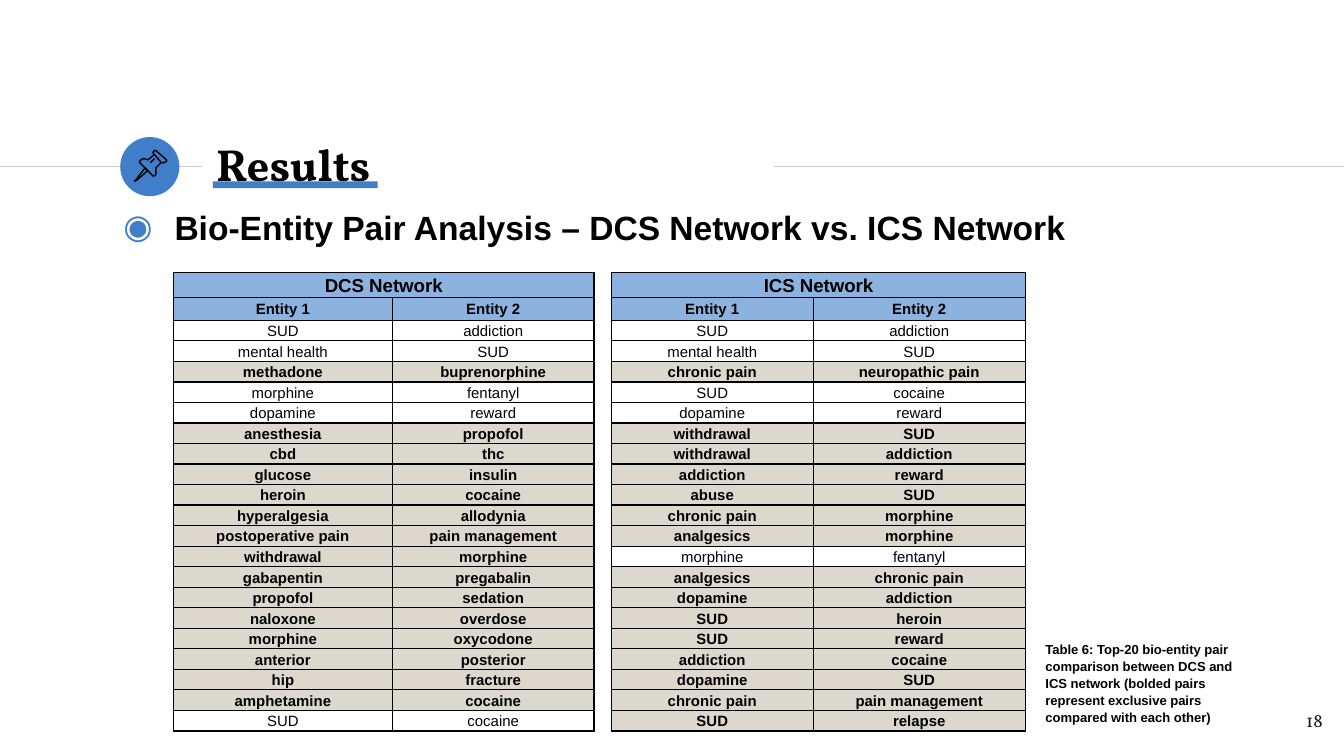
"""Build the results slide comparing entity pairs of the DCS and ICS networks."""
from dataclasses import dataclass

from lxml import etree
from pptx import Presentation
from pptx.dml.color import RGBColor
from pptx.enum.shapes import MSO_CONNECTOR, MSO_SHAPE
from pptx.enum.text import MSO_ANCHOR, PP_ALIGN
from pptx.oxml.ns import qn
from pptx.util import Inches, Pt

STRAIGHT = MSO_CONNECTOR.STRAIGHT
OVAL, RECTANGLE = MSO_SHAPE.OVAL, MSO_SHAPE.RECTANGLE
TOP, MIDDLE = MSO_ANCHOR.TOP, MSO_ANCHOR.MIDDLE
LEFT, CENTER, RIGHT = PP_ALIGN.LEFT, PP_ALIGN.CENTER, PP_ALIGN.RIGHT
BLACK = RGBColor(0x00, 0x00, 0x00)
INK = RGBColor(0x1D, 0x1D, 0x1B)
BLUE = RGBColor(0x40, 0x7E, 0xC9)
HEADER_BLUE = RGBColor(0x8C, 0xB2, 0xDF)
SAND = RGBColor(0xDD, 0xD8, 0xCD)
GREY = RGBColor(0xCC, 0xCC, 0xCC)
GRID_COLUMNS, GRID_ROWS = 100, 56.25
GRID_STEP = Inches(0.1)
PIN_STEP = Inches(0.01)
THIN = Pt(0.75)
RULE_ROW = 12.4
TABLE_TOP, HEADER_ROWS, HEADER_HEIGHT, PAIR_HEIGHT = 20.3, 2, 1.7, 1.53


@dataclass(frozen=True)
class Area:
    """A block of the grid."""
    column: float
    row: float
    columns: float
    rows: float

    def lengths(self) -> list[int]:
        """Return left, top, width and height."""
        return [grid(n) for n in (self.column, self.row, self.columns, self.rows)]


@dataclass(frozen=True)
class TextStyle:
    """The look of one run of text."""
    size: float
    name: str = "Arial"
    bold: bool = True
    color: RGBColor = BLACK


@dataclass(frozen=True)
class Label:
    """A text box with one paragraph."""
    area: Area
    text: str
    style: TextStyle
    alignment: PP_ALIGN = LEFT
    anchor: MSO_ANCHOR = TOP
    inset: float = 1
    spacing: float = 1.0
    bullet: str = ""


@dataclass(frozen=True)
class Network:
    """A table of entity pairs."""
    name: str
    column: float
    widths: tuple[float, float]
    pairs: tuple[tuple[str, str], ...]


@dataclass(frozen=True)
class Stroke:
    """One outline of the pin, in hundredths of an inch."""
    points: tuple[tuple[float, float], ...]
    closed: bool


DCS = Network("DCS Network", 12.9, (16.3, 15), (
    ("SUD", "addiction"), ("mental health", "SUD"), ("methadone", "buprenorphine"),
    ("morphine", "fentanyl"), ("dopamine", "reward"), ("anesthesia", "propofol"),
    ("cbd", "thc"), ("glucose", "insulin"), ("heroin", "cocaine"),
    ("hyperalgesia", "allodynia"), ("postoperative pain", "pain management"),
    ("withdrawal", "morphine"), ("gabapentin", "pregabalin"), ("propofol", "sedation"),
    ("naloxone", "overdose"), ("morphine", "oxycodone"), ("anterior", "posterior"),
    ("hip", "fracture"), ("amphetamine", "cocaine"), ("SUD", "cocaine")))
ICS = Network("ICS Network", 45.5, (15, 15.8), (
    ("SUD", "addiction"), ("mental health", "SUD"), ("chronic pain", "neuropathic pain"),
    ("SUD", "cocaine"), ("dopamine", "reward"), ("withdrawal", "SUD"),
    ("withdrawal", "addiction"), ("addiction", "reward"), ("abuse", "SUD"),
    ("chronic pain", "morphine"), ("analgesics", "morphine"), ("morphine", "fentanyl"),
    ("analgesics", "chronic pain"), ("dopamine", "addiction"), ("SUD", "heroin"),
    ("SUD", "reward"), ("addiction", "cocaine"), ("dopamine", "SUD"),
    ("chronic pain", "pain management"), ("SUD", "relapse")))
PIN = (
    Stroke(((108, 125), (101, 134), (100, 135), (102, 134), (110, 127)), True),
    Stroke(((115, 115), (120, 121), (122, 121), (123.5, 120.5), (124, 119),
            (116, 112), (115, 112), (114, 113), (114, 114)), True),
    Stroke(((115, 115), (110, 119), (107, 118.5), (105, 119), (104, 120), (104, 121),
            (114, 131), (115, 131), (116, 130), (116.5, 128), (116, 125), (120, 121)), False),
    Stroke(((112, 121), (115, 118)), False))
PAGE_NUMBER = Label(Area(93.4, 51.9, 6, 4.3), "18",
                    TextStyle(10, "Vollkorn", False, INK), RIGHT)
TITLE = Label(Area(15.1, 9.8, 42.4, 4.8), "Results", TextStyle(24, "Vollkorn"), anchor=MIDDLE)
TOPIC = Label(Area(7, 14.4, 84.8, 5.8), "Bio-Entity Pair Analysis – DCS Network vs. ICS Network",
              TextStyle(18), bullet="◉")
CAPTION = Label(Area(76.8, 47.1, 17.1, 7.4), "Table 6: Top-20 bio-entity pair comparison between "
                "DCS and ICS network (bolded pairs represent exclusive pairs compared with "
                "each other)", TextStyle(7), inset=0.5, spacing=1.1)


def grid(count: float) -> int:
    """Turn grid steps into a length."""
    return round(count * GRID_STEP)


def assign(target, values: dict) -> None:
    """Set attributes from format values."""
    for name, value in values.items():
        setattr(target, name, value)


def write(frame, text: str, style: TextStyle, layout: dict):
    """Write one styled paragraph and return it."""
    para = frame.paragraphs[0]
    assign(para, layout)
    span = para.add_run()
    span.text = text
    assign(span.font, {"name": style.name, "size": Pt(style.size), "bold": style.bold})
    span.font.color.rgb = style.color
    return para


def add_bullet(para, symbol: str) -> None:
    """Give a paragraph a blue hanging bullet."""
    para.space_before = Pt(6)
    properties = para._p.get_or_add_pPr()
    for name, length in {"marL": Inches(0.5), "indent": -Inches(0.38)}.items():
        properties.set(name, str(length))
    color = etree.SubElement(properties, qn("a:buClr"))
    etree.SubElement(color, qn("a:srgbClr"), val=str(BLUE))
    etree.SubElement(properties, qn("a:buFont"), typeface="Arial")
    etree.SubElement(properties, qn("a:buChar"), char=symbol)


def add_label(page, label: Label) -> None:
    """Draw a text box."""
    frame = page.shapes.add_textbox(*label.area.lengths()).text_frame
    assign(frame, {"word_wrap": True, "vertical_anchor": label.anchor,
                   "margin_left": grid(1), "margin_right": grid(1),
                   "margin_top": grid(label.inset), "margin_bottom": grid(label.inset)})
    para = write(frame, label.text, label.style,
                 {"alignment": label.alignment, "line_spacing": label.spacing})
    if label.bullet:
        add_bullet(para, label.bullet)


def add_rule(page, start: float, end: float) -> None:
    """Draw a horizontal grey line."""
    rule = page.shapes.add_connector(
        STRAIGHT, grid(start), grid(RULE_ROW), grid(end), grid(RULE_ROW))
    rule.line.color.rgb = GREY
    rule.line.width = THIN
    etree.SubElement(rule._element.spPr, qn("a:effectLst"))


def add_block(page, kind: MSO_SHAPE, area: Area) -> None:
    """Draw a plain blue shape."""
    block = page.shapes.add_shape(kind, *area.lengths())
    block.shadow.inherit = False
    block.fill.solid()
    block.fill.fore_color.rgb = BLUE
    block.line.fill.background()


def add_stroke(page, stroke: Stroke) -> None:
    """Draw one outline of the pin."""
    first, *others = stroke.points
    builder = page.shapes.build_freeform(*first, scale=float(PIN_STEP))
    builder.add_line_segments(others, close=stroke.closed)
    outline = builder.convert_to_shape()
    outline.shadow.inherit = False
    outline.fill.background()
    outline.line.color.rgb = BLACK
    outline.line.width = THIN


def fill_cell(cell, text: str, style: TextStyle, fill: RGBColor | None) -> None:
    """Format a table cell and write its text."""
    assign(cell, {"vertical_anchor": MIDDLE, "margin_left": grid(0.6),
                  "margin_right": grid(0.6), "margin_top": 0, "margin_bottom": 0})
    properties = cell._tc.get_or_add_tcPr()
    for side in ("lnL", "lnR", "lnT", "lnB"):
        border = etree.SubElement(properties, qn(f"a:{side}"), w=str(THIN))
        paint = etree.SubElement(border, qn("a:solidFill"))
        etree.SubElement(paint, qn("a:srgbClr"), val=str(BLACK))
    if fill is None:
        cell.fill.background()
    else:
        cell.fill.solid()
        cell.fill.fore_color.rgb = fill
    if text:
        write(cell.text_frame, text, style, {"alignment": CENTER, "line_spacing": 1.1})


def add_network(page, network: Network, other: Network) -> None:
    """Draw a pair table that marks the pairs missing from the other network."""
    heights = [HEADER_HEIGHT] * HEADER_ROWS + [PAIR_HEIGHT] * len(network.pairs)
    area = Area(network.column, TABLE_TOP, sum(network.widths), sum(heights))
    table = page.shapes.add_table(len(heights), len(network.widths), *area.lengths()).table
    assign(table, {"first_row": False, "horz_banding": False})
    for column, width in zip(table.columns, network.widths):
        column.width = grid(width)
    table.cell(0, 0).merge(table.cell(0, 1))
    lines = [((network.name, ""), TextStyle(10), HEADER_BLUE),
             (("Entity 1", "Entity 2"), TextStyle(8), HEADER_BLUE)]
    for pair in network.pairs:
        exclusive = pair not in other.pairs
        lines.append((pair, TextStyle(8, bold=exclusive), SAND if exclusive else None))
    for row, height, (texts, style, fill) in zip(table.rows, heights, lines):
        row.height = grid(height)
        for cell, text in zip(row.cells, texts):
            fill_cell(cell, text, style, fill)


def main() -> None:
    """Build and save the deck."""
    deck = Presentation()
    assign(deck, {"slide_width": grid(GRID_COLUMNS), "slide_height": grid(GRID_ROWS)})
    page = deck.slides.add_slide(deck.slide_layouts[6])
    add_rule(page, 0, 15)
    add_block(page, OVAL, Area(8.95, 10.2, 4.4, 4.4))
    add_rule(page, 57.6, GRID_COLUMNS)
    for stroke in PIN:
        add_stroke(page, stroke)
    add_label(page, PAGE_NUMBER)
    add_label(page, TITLE)
    add_block(page, RECTANGLE, Area(15.85, 13.5, 12.25, 0.5))
    add_label(page, TOPIC)
    add_network(page, ICS, DCS)
    add_label(page, CAPTION)
    add_network(page, DCS, ICS)
    deck.save("out.pptx")


if __name__ == "__main__":
    main()
